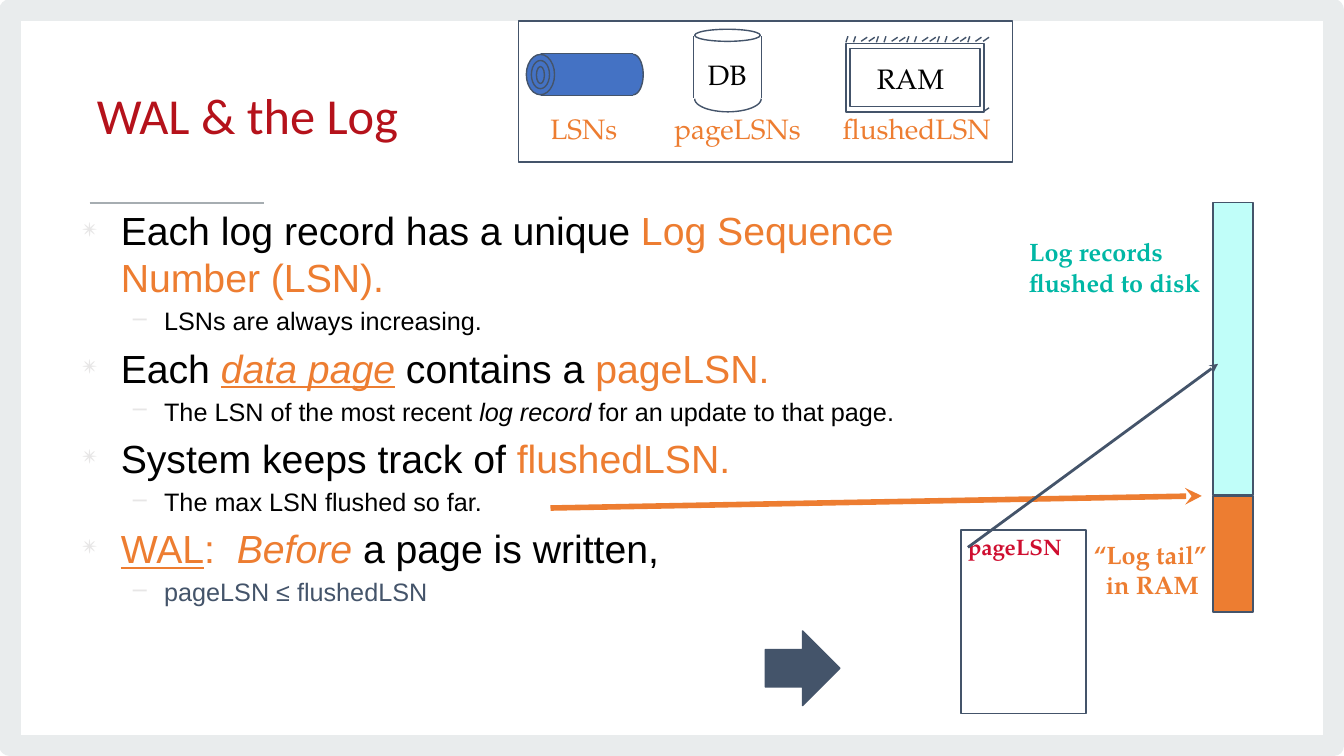
import math
from lxml import etree
from pptx import Presentation, util as u
from pptx.dml.color import RGBColor
from pptx.enum import shapes, text
from pptx.oxml.ns import qn

SHAPE = shapes.MSO_SHAPE
NAVY, ORANGE, BLUE, BLACK = "44546A", "ED7D31", "4472C4", "000000"
SERIF = "TeX Gyre Pagella"
POINTS = [
    (0, [("Each log record has a unique ", BLACK, ""),
         ("Log Sequence Number (LSN).", ORANGE, "")]),
    (1, [("LSNs are always increasing.", BLACK, "")]),
    (0, [("Each ", BLACK, ""), ("data page", ORANGE, "iu"), (" ", ORANGE, "i"),
         ("contains a ", BLACK, ""), ("pageLSN.", ORANGE, "")]),
    (1, [("The LSN of the most recent ", BLACK, ""), ("log record ", BLACK, "i"),
         ("for an update to that page.", BLACK, "")]),
    (0, [("System keeps track of ", BLACK, ""), ("flushedLSN.", ORANGE, "")]),
    (1, [("The max LSN flushed so far.", BLACK, "")]),
    (0, [("WAL", ORANGE, "u"), (":  ", ORANGE, ""), ("Before", ORANGE, "i"),
         (" a page is written,", BLACK, "")]),
    (1, [("pageLSN ≤ flushedLSN", NAVY, "")]),
]
LEVELS = [(28, 0.38, -0.38, "✴", 65), (18, 0.81, -0.31, "–", 100)]


def cm(inch):
    """Turn inches into a length."""
    return u.Cm(inch * 2.54)


def rgb(code):
    """Turn a hex string into a colour."""
    return RGBColor.from_string(code)


def tag(parent, name, **attrs):
    """Add a drawing element below a parent."""
    return etree.SubElement(parent, qn("a:" + name), attrs)


def paint(shape, fill, line, width=1):
    """Set fill and outline, where None means none."""
    shape.shadow.inherit = False
    if fill:
        shape.fill.solid()
        shape.fill.fore_color.rgb = rgb(fill)
    else:
        shape.fill.background()
    if line:
        shape.line.color.rgb = rgb(line)
        shape.line.width = u.Pt(width)
    else:
        shape.line.fill.background()


def block(slide, kind, area, fill=None, line=NAVY, width=1):
    """Draw a preset shape."""
    paint(slide.shapes.add_shape(kind, *map(cm, area)), fill, line, width)


def stroke(slide, start, end, color=NAVY, width=1, arrow=False):
    """Draw a straight line, with an arrowhead if asked."""
    line = slide.shapes.add_connector(
        shapes.MSO_CONNECTOR.STRAIGHT, *map(cm, start + end))
    line.line.color.rgb = rgb(color)
    line.line.width = u.Pt(width)
    if arrow:
        tag(line.line._get_or_add_ln(), "tailEnd", type="stealth")
    tag(line._element.spPr, "effectLst")


def arc(slide, mid, radii, first, fill=None):
    """Draw half an ellipse from a first angle in degrees."""
    turns = [math.radians(first + 7.5 * i) for i in range(25)]
    dots = [(cm(mid[0] + radii[0] * math.cos(t)), cm(mid[1] + radii[1] * math.sin(t)))
            for t in turns]
    pen = slide.shapes.build_freeform(*dots[0])
    pen.add_line_segments(dots[1:], close=False)
    paint(pen.convert_to_shape(), fill, NAVY)


def style(run, size, font, color, bold=None):
    """Format a run."""
    run.font.size, run.font.name, run.font.bold = u.Pt(size), font, bold
    run.font.color.rgb = rgb(color)


def label(slide, area, words, color, size=20, bold=None, wrap=False):
    """Add a serif label and return its paragraphs."""
    frame = slide.shapes.add_textbox(*map(cm, area)).text_frame
    frame.word_wrap = wrap
    if not wrap:
        frame.auto_size = text.MSO_AUTO_SIZE.SHAPE_TO_FIT_TEXT
    frame.text = words
    for para in frame.paragraphs:
        style(para.runs[0], size, SERIF, color, bold)
    return frame.paragraphs


def title(slide):
    """Place and format the title."""
    head = slide.shapes.title
    head.left, head.top, head.width, head.height = map(cm, (0.86, 0.52, 8.79, 1.34))
    frame = head.text_frame
    frame.text = "WAL & the Log"
    frame.vertical_anchor = text.MSO_ANCHOR.MIDDLE
    para = frame.paragraphs[0]
    para.alignment = text.PP_ALIGN.LEFT
    para.line_spacing, para.space_before = u.Pt(34.7), u.Pt(7.5)
    style(para.runs[0], 36, "Calibri", "B5121B")


def bullet(para, level):
    """Set indents, spacing and bullet for a level."""
    size, left, hang, mark, scale = LEVELS[level]
    para.level = level
    props = para._p.get_or_add_pPr()
    props.set("marL", str(cm(left)))
    props.set("indent", str(cm(hang)))
    tag(tag(props, "spcBef"), "spcPct", val="20000")
    tag(tag(props, "buClr"), "srgbClr", val="E7E6E6")
    tag(props, "buSzPct", val=str(scale * 1000))
    tag(props, "buChar", char=mark)
    return size


def body(slide):
    """Write the bullet list."""
    frame = slide.shapes.add_textbox(*map(cm, (0.72, 2, 8.5, 4.46))).text_frame
    frame.word_wrap = True
    for i, (level, parts) in enumerate(POINTS):
        para = frame.add_paragraph() if i else frame.paragraphs[0]
        size = bullet(para, level)
        for words, color, flags in parts:
            run = para.add_run()
            run.text = words
            style(run, size, "Arial", color)
            run.font.italic, run.font.underline = "i" in flags, "u" in flags


def disk(slide):
    """Draw the database drum."""
    block(slide, SHAPE.OVAL, (6.89, 0.29, 0.65, 0.12))
    for x in (6.88, 7.55):
        stroke(slide, (x, 0.36), (x, 0.97))
    arc(slide, (7.22, 0.98), (0.33, 0.13), 0)
    label(slide, (6.92, 0.52, 0.6, 0.44), "DB", BLACK)


def memory(slide):
    """Draw the memory chip with its hatched edge."""
    label(slide, (8.6, 0.56, 0.87, 0.43), "RAM", BLACK)
    block(slide, SHAPE.RECTANGLE, (8.39, 0.43, 1.37, 0.68))
    block(slide, SHAPE.RECTANGLE, (8.43, 0.48, 1.29, 0.58))
    for i in range(19):
        x = 8.39 + 1.36 / 18 * i
        if i % 4 < 2 and i < 17:
            stroke(slide, (x, 0.42), (x + 0.02, 0.36))
        else:
            stroke(slide, (x + 0.06, 0.37), (x, 0.41))
    stroke(slide, (9.81, 1.07), (9.75, 1.11))


def scroll(slide):
    """Draw the log as a rolled tube."""
    block(slide, SHAPE.RECTANGLE, (5.36, 0.53, 0.92, 0.42), BLUE, None)
    block(slide, SHAPE.OVAL, (5.22, 0.54, 0.28, 0.4), BLUE)
    for y in (0.53, 0.95):
        stroke(slide, (5.37, y), (6.28, y))
    arc(slide, (6.28, 0.74), (0.1, 0.2), -90, BLUE)
    block(slide, SHAPE.OVAL, (5.27, 0.6, 0.18, 0.28))
    block(slide, SHAPE.OVAL, (5.32, 0.66, 0.08, 0.17))


def legend(slide):
    """Draw the boxed key at the top."""
    disk(slide)
    memory(slide)
    for x, width, words in ((5.36, 0.87, "LSNs"), (6.59, 1.47, "pageLSNs"),
                            (8.26, 1.68, "flushedLSN")):
        label(slide, (x, 1.06, width, 0.43), words, ORANGE)
    block(slide, SHAPE.RECTANGLE, (5.14, 0.21, 4.9, 1.4))
    scroll(slide)


def log(slide):
    """Draw the log column, the page and the arrows."""
    block(slide, SHAPE.RECTANGLE, (12.03, 2.01, 0.4, 2.9), "C0FEF9")
    block(slide, SHAPE.RECTANGLE, (12.03, 4.92, 0.4, 1.15), ORANGE)
    block(slide, SHAPE.RECTANGLE, (9.53, 5.26, 1.24, 1.82))
    label(slide, (9.5, 5.24, 1.15, 0.37), "pageLSN", "CF0E30", 16, True)
    stroke(slide, (5.46, 5.04), (11.92, 4.92), ORANGE, 4, True)
    stroke(slide, (9.6, 5.43), (12.08, 3.61), NAVY, 2, True)
    label(slide, (10.11, 2.3, 1.94, 0.7), "Log records\nflushed to disk",
          "00B7A5", 18, True, True)
    tail = label(slide, (10.75, 5.3, 1.33, 0.7), "“Log tail”\nin RAM",
                 ORANGE, 18, True, True)
    tail[1]._p.get_or_add_pPr().set("marL", str(cm(0.12)))
    block(slide, SHAPE.RIGHT_ARROW, (7.59, 6.26, 0.74, 0.74), NAVY)


def main():
    """Build the slide."""
    deck = Presentation()
    deck.slide_width, deck.slide_height = cm(13.33), cm(7.5)
    slide = deck.slides.add_slide(deck.slide_layouts[5])
    block(slide, SHAPE.RECTANGLE, (0.1, 0.1, 13.13, 7.3), None, "E9ECED", 15.11)
    stroke(slide, (0.89, 2.01), (2.62, 2.01), "A6ADB1", 1.33)
    title(slide)
    body(slide)
    legend(slide)
    log(slide)
    deck.save("out.pptx")


if __name__ == "__main__":
    main()
